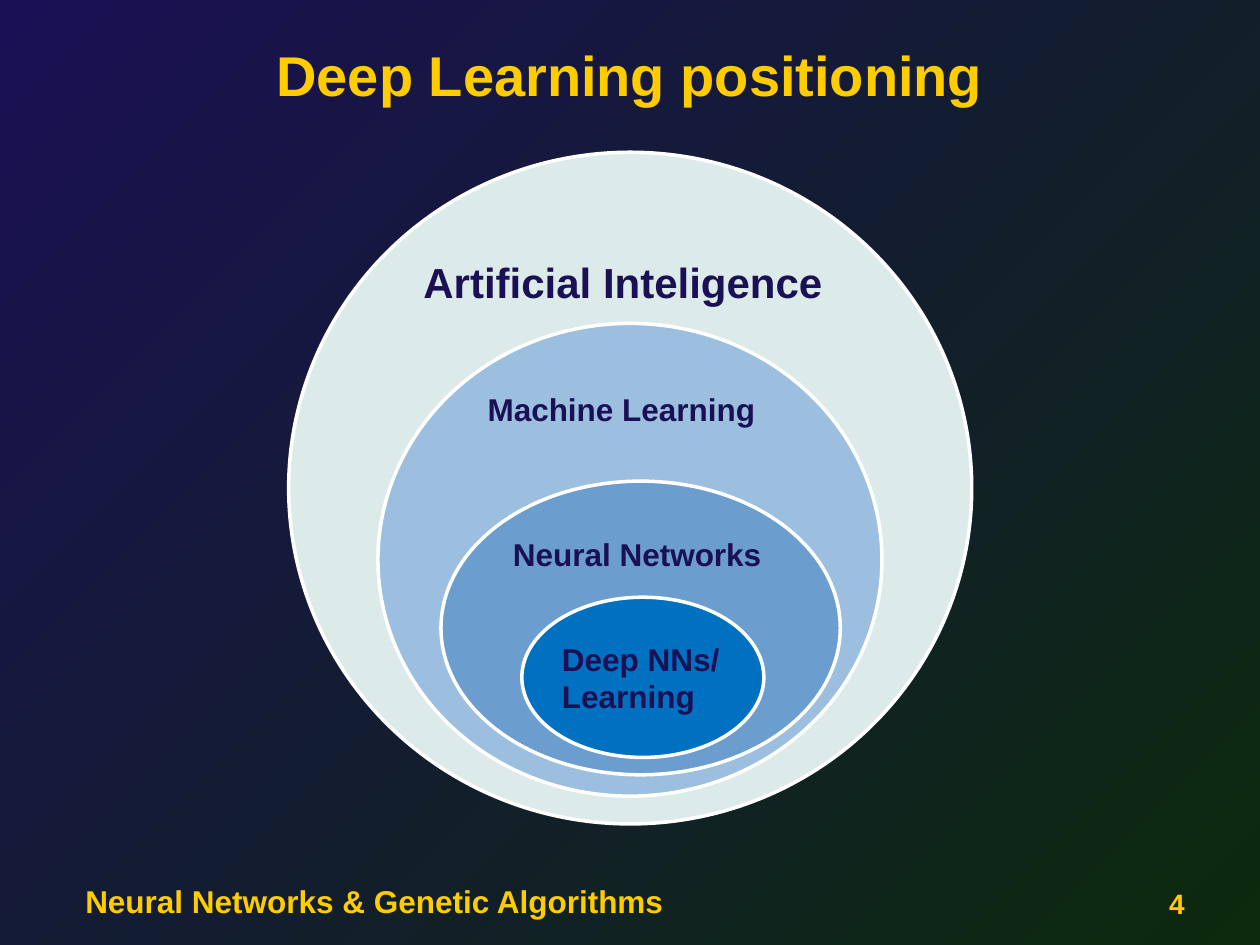
from pptx import Presentation
from pptx.dml.color import RGBColor
from pptx.enum.shapes import MSO_SHAPE
from pptx.enum.text import MSO_ANCHOR, MSO_AUTO_SIZE, PP_ALIGN
from pptx.util import Cm, Pt

NAVY, GOLD, WHITE = "1A1054", "FFCC00", "FFFFFF"


def rgb(value):
    """Turn a hex string into a colour."""
    return RGBColor.from_string(value)


def place(sp, left, top, width, height):
    """Move and size a shape, in centimetres."""
    sp.left, sp.top, sp.width, sp.height = Cm(left), Cm(top), Cm(width), Cm(height)


def write(tf, lines, size, color, align=PP_ALIGN.LEFT, anchor=MSO_ANCHOR.TOP):
    """Fill a text frame with one bold paragraph per line."""
    tf.vertical_anchor = anchor
    for i, line in enumerate(lines):
        p = tf.paragraphs[0] if i == 0 else tf.add_paragraph()
        p.alignment = align
        r = p.add_run()
        r.text = line
        r.font.name, r.font.size, r.font.bold = "Arial", Pt(size), True
        r.font.color.rgb = rgb(color)


def paint_background(s):
    """Fill the slide with a diagonal gradient."""
    fill = s.background.fill
    fill.gradient()
    fill.gradient_angle = 315
    for stop, position, color in zip(fill.gradient_stops, (0, 1), (NAVY, "0C2A0D")):
        stop.position = position
        stop.color.rgb = rgb(color)


def add_title(s, text, box):
    """Format the title placeholder."""
    sp = s.shapes.title
    place(sp, *box)
    write(sp.text_frame, [text], 32, GOLD, PP_ALIGN.CENTER, MSO_ANCHOR.MIDDLE)


def add_footer(s, left, top, width, height):
    """Add the course name and the page number."""
    number_width = 5.92
    parts = [
        ("Neural Networks & Genetic Algorithms", 0, 18.21, 18, PP_ALIGN.LEFT),
        ("4", width - number_width, number_width, 16, PP_ALIGN.RIGHT),
    ]
    for text, dx, part_width, size, align in parts:
        sp = s.shapes.add_textbox(0, 0, 0, 0)
        place(sp, left + dx, top, part_width, height)
        sp.text_frame.word_wrap = True
        write(sp.text_frame, [text], size, GOLD, align, MSO_ANCHOR.BOTTOM)


def add_nested_fields(s, left, top, width, height):
    """Draw the nested ellipses and their labels."""
    group = s.shapes.add_group_shape()
    ellipses = [
        (0, 0, width, height, "DDEAEA"),
        (1.8, 3.45, 10.16, 9.53, "9CBEDF"),
        (3.07, 6.63, 8.05, 5.92, "6B9DCF"),
        (4.7, 8.97, 4.88, 3.23, "0070C0"),
    ]
    fields = []
    for dx, dy, w, h, color in ellipses:
        sp = group.shapes.add_shape(
            MSO_SHAPE.OVAL, Cm(left + dx), Cm(top + dy), Cm(w), Cm(h))
        sp.shadow.inherit = False
        sp.fill.solid()
        sp.fill.fore_color.rgb = rgb(color)
        sp.line.color.rgb = rgb(WHITE)
        sp.line.width = Pt(2)
        fields.append(sp)
    tf = fields[0].text_frame
    tf.margin_left = Cm(0.7)
    write(tf, ["Artificial Inteligence"], 24, NAVY)

    labels = [
        (["Machine Learning"], 3.76, 4.67, 5.89, 1.02),
        (["Neural Networks"], 4.27, 7.59, 5.51, 1.02),
        (["Deep NNs/", "Learning"], 5.26, 9.7, 3.68, 1.78),
    ]
    for lines, dx, dy, w, h in labels:
        sp = group.shapes.add_textbox(Cm(left + dx), Cm(top + dy), Cm(w), Cm(h))
        tf = sp.text_frame
        tf.word_wrap = True
        tf.auto_size = MSO_AUTO_SIZE.NONE
        tf.margin_right = 0
        write(tf, lines, 18, NAVY)


def main():
    """Build and save the slide."""
    prs = Presentation()
    prs.slide_width, prs.slide_height = Cm(25.4), Cm(19.05)
    s = prs.slides.add_slide(prs.slide_layouts[5])
    paint_background(s)
    add_title(s, "Deep Learning positioning", (1.27, 0.43, 22.86, 2.11))
    add_footer(s, 1.47, 17.35, 22.66, 1.32)
    add_nested_fields(s, 5.82, 3.07, 13.77, 13.54)
    prs.save("out.pptx")


if __name__ == "__main__":
    main()
